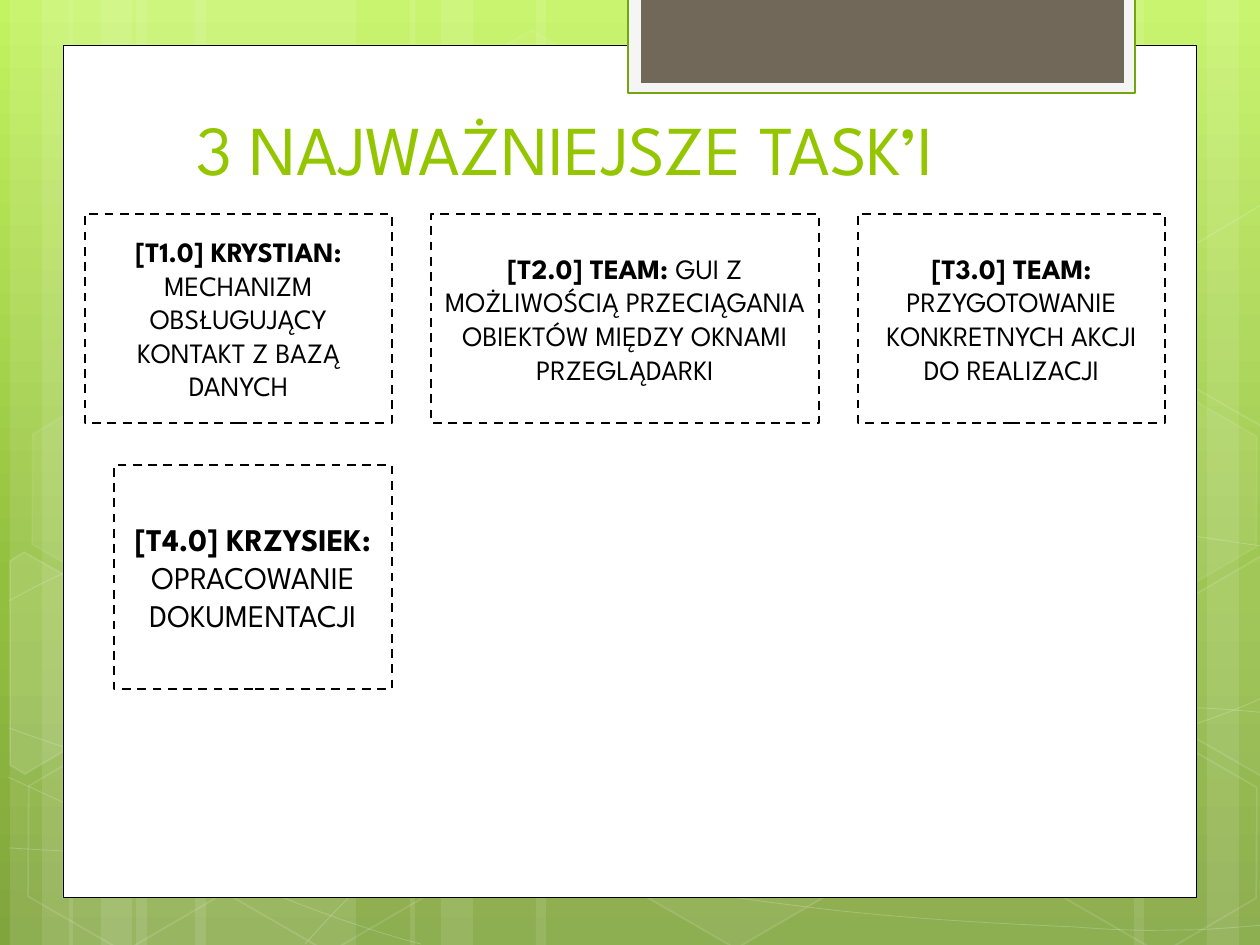
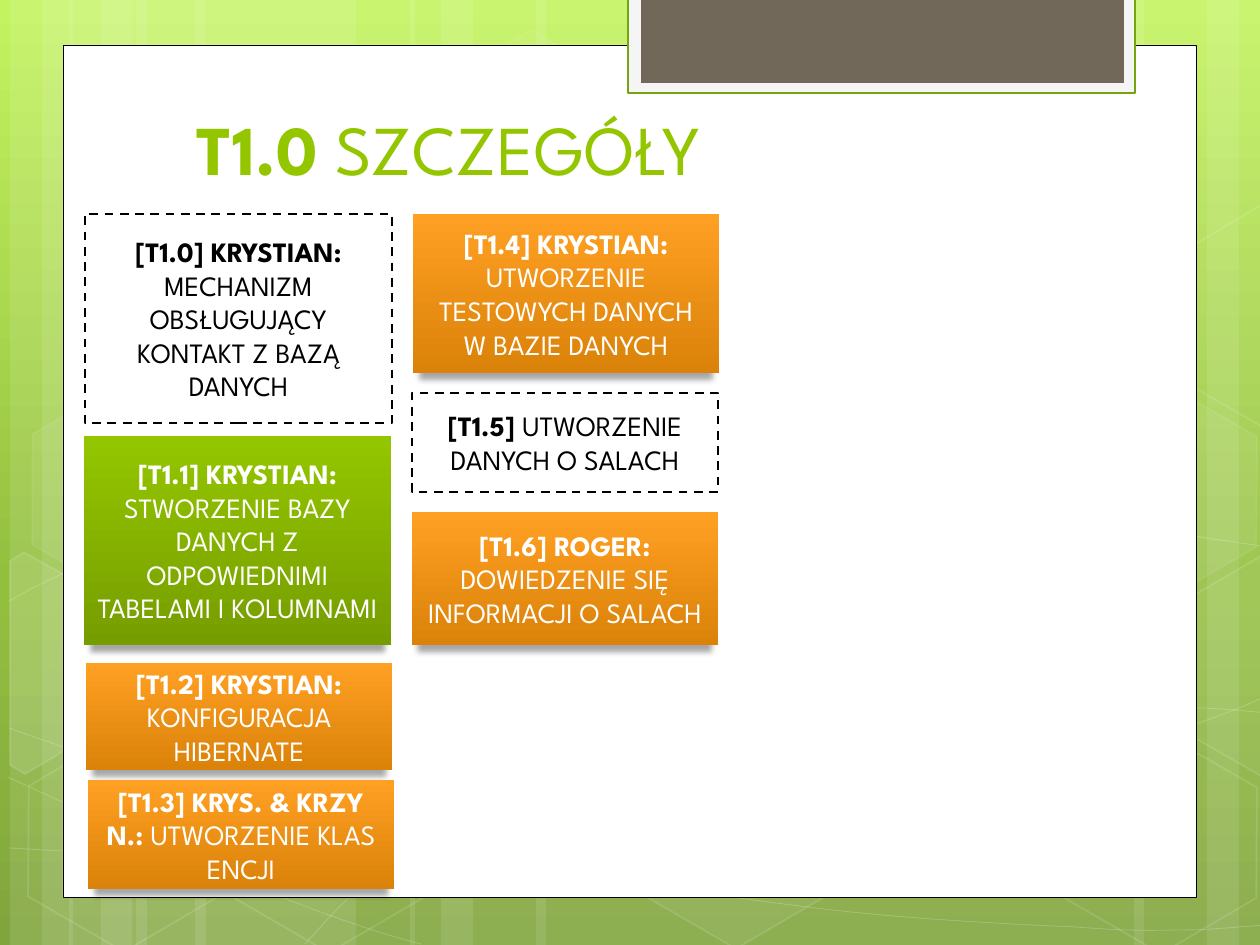
from dataclasses import dataclass
from typing import Optional

from lxml import etree
from pptx import Presentation
from pptx.dml.color import RGBColor
from pptx.enum.dml import MSO_LINE
from pptx.enum.shapes import MSO_SHAPE
from pptx.enum.text import MSO_ANCHOR, MSO_AUTO_SIZE, PP_ALIGN
from pptx.oxml.ns import qn
from pptx.util import Emu, Pt

RECTANGLE = MSO_SHAPE.RECTANGLE
HEXAGON = MSO_SHAPE.HEXAGON
DASH = MSO_LINE.DASH
MIDDLE, BOTTOM = MSO_ANCHOR.MIDDLE, MSO_ANCHOR.BOTTOM
LEFT, CENTER = PP_ALIGN.LEFT, PP_ALIGN.CENTER
NO_AUTOFIT = MSO_AUTO_SIZE.NONE

SCALE = 914400 / 126
PAGE_WIDTH, PAGE_HEIGHT = 1260, 945
FONT = "League Spartan"
WHITE, BLACK, LIME = "FFFFFF", "000000", "94C600"
TITLE_AREA = (184, 96, 968, 100)


@dataclass(frozen=True)
class Style:
    stops: tuple
    text_color: str


@dataclass(frozen=True)
class Card:
    left: int
    top: int
    width: int
    height: int
    label: str
    text: str
    style: Style
    size: int = 16


@dataclass(frozen=True)
class Hexagon:
    left: int
    top: int
    fill_alpha: int
    line_alpha: int


@dataclass(frozen=True)
class Slab:
    area: tuple
    fill: str
    line: Optional[str] = None
    weight: float = 0


@dataclass(frozen=True)
class Facet:
    points: tuple
    fill_alpha: int


OPEN = Style((), BLACK)
DONE = Style(((0, LIME), (100, "769D00")), WHITE)
ACTIVE = Style(((0, "FEA022"), (100, "DB820A")), WHITE)

BACKGROUND = ((0, "C3F35F"), (62, "93BF3F"), (100, "81A53E"))
STRIPES = ((136, 220), (10, 63), (42, 105), (195, 220), (69, 63), (101, 105),
           (924, 220), (1207, 63), (1134, 105), (536, 388), (410, 63), (441, 105))
CURVES = (
    ((9, 848), (77, 852), (145, 856), (239, 854), (334, 853), (451, 850), (577, 838),
     (703, 825), (882, 801), (998, 777), (1113, 753), (1231, 716), (1269, 694)),
    ((9, 601), (45, 581), (82, 562), (152, 543), (224, 524), (326, 496), (437, 488),
     (549, 479), (685, 478), (824, 488), (963, 498), (1193, 537), (1269, 547)),
    ((8, 777), (160, 847), (311, 916), (421, 944)),
    ((9, 728), (48, 742), (88, 756), (161, 776), (234, 795), (344, 827), (450, 848),
     (554, 869), (687, 892), (791, 905), (896, 919), (1008, 924), (1075, 927),
     (1140, 932), (1158, 930), (1191, 930), (1223, 929), (1246, 926), (1269, 925)),
    ((305, 944), (328, 919), (350, 893), (381, 871), (411, 848), (454, 823), (489, 805),
     (524, 788), (546, 780), (592, 767), (638, 755), (722, 737), (766, 728),
     (811, 719), (818, 719), (857, 717), (896, 714), (958, 709), (1000, 708),
     (1044, 707), (1116, 708), (1116, 708), (1144, 708), (1173, 708), (1201, 708),
     (1223, 709), (1245, 711), (1256, 712), (1268, 713), (1264, 712), (1268, 713)),
)
HEXAGONS = (
    Hexagon(421, 45, 4, 8),
    Hexagon(626, 742, 6, 12),
    Hexagon(14, 745, 0, 12),
    Hexagon(18, 393, 7, 8),
    Hexagon(219, 746, 0, 12),
    Hexagon(1051, 747, 0, 12),
    Hexagon(1051, 396, 7, 8),
)
FACETS = (
    Facet(((10, 561), (24, 552), (121, 607), (120, 718), (25, 774), (10, 765)), 10),
    Facet(((1167, 611), (1261, 556), (1271, 562), (1271, 772), (1263, 777), (1167, 722)), 4),
    Facet(((1167, 261), (1261, 205), (1273, 212), (1271, 422), (1263, 427), (1167, 372)), 0),
)
SLABS = (
    Slab((63, 45, 1134, 853), WHITE, BLACK, 0.5),
    Slab((628, -3, 507, 96), "F5F5F5", "74A510", 1.25),
    Slab((641, -3, 483, 86), "71685A"),
)

DATABASE_TASK = Card(85, 214, 307, 209, "[T1.0] KRYSTIAN: ",
                     "MECHANIZM OBSŁUGUJĄCY KONTAKT Z BAZĄ DANYCH", OPEN)
MAIN_TASKS = (
    DATABASE_TASK,
    Card(431, 214, 388, 209, "[T2.0] TEAM: ",
         "GUI Z MOŻLIWOŚCIĄ PRZECIĄGANIA OBIEKTÓW MIĘDZY OKNAMI PRZEGLĄDARKI", OPEN),
    Card(858, 214, 307, 209, "[T3.0] TEAM: ",
         "PRZYGOTOWANIE KONKRETNYCH AKCJI DO REALIZACJI", OPEN),
    Card(114, 465, 278, 224, "[T4.0] KRZYSIEK: ", "OPRACOWANIE DOKUMENTACJI", OPEN, 18),
)
DATABASE_STEPS = (
    DATABASE_TASK,
    Card(84, 436, 307, 209, "[T1.1] KRYSTIAN: ",
         "STWORZENIE BAZY DANYCH Z ODPOWIEDNIMI TABELAMI I KOLUMNAMI", DONE),
    Card(86, 663, 306, 107, "[T1.2] KRYSTIAN: ", "KONFIGURACJA HIBERNATE", ACTIVE),
    Card(88, 780, 306, 109, "[T1.3] KRYS. & KRZY N.: ", "UTWORZENIE KLAS ENCJI", ACTIVE),
    Card(413, 214, 306, 159, "[T1.4] KRYSTIAN: ",
         "UTWORZENIE TESTOWYCH DANYCH W BAZIE DANYCH", ACTIVE),
    Card(412, 393, 306, 99, "[T1.5] ", "UTWORZENIE DANYCH O SALACH", OPEN),
    Card(412, 512, 306, 133, "[T1.6] ROGER: ",
         "DOWIEDZENIE SIĘ INFORMACJI O SALACH", ACTIVE),
)


def px(length: int) -> Emu:
    return Emu(round(length * SCALE))


def color(value: str) -> RGBColor:
    return RGBColor.from_string(value)


def set_alpha(parent, alpha: int) -> None:
    if alpha < 100:
        tint = parent.find(qn("a:solidFill")).find(qn("a:srgbClr"))
        etree.SubElement(tint, qn("a:alpha")).set("val", str(alpha * 1000))


def paint_fill(shape, value: str, alpha: int = 100) -> None:
    if alpha == 0:
        shape.fill.background()
        return
    shape.fill.solid()
    shape.fill.fore_color.rgb = color(value)
    set_alpha(shape.element.spPr, alpha)


def paint_line(shape, value: Optional[str], weight: float = 0, alpha: int = 100) -> None:
    if value is None:
        shape.line.fill.background()
        return
    shape.line.color.rgb = color(value)
    shape.line.width = Pt(weight)
    set_alpha(shape.element.spPr.find(qn("a:ln")), alpha)


def paint_gradient(fill, holder, stops: tuple) -> None:
    fill.gradient()
    fill.gradient_angle = 270
    stop_list = next(holder.iter(qn("a:gsLst")))
    for stop in list(stop_list):
        stop_list.remove(stop)
    for position, value in stops:
        stop = etree.SubElement(stop_list, qn("a:gs"))
        stop.set("pos", str(position * 1000))
        etree.SubElement(stop, qn("a:srgbClr")).set("val", value)


def add_box(page, kind, left: int, top: int, width: int, height: int):
    box = page.shapes.add_shape(kind, px(left), px(top), px(width), px(height))
    box.shadow.inherit = False
    return box


def add_outline(page, points: tuple, close: bool):
    corners = [(px(x), px(y)) for x, y in points]
    builder = page.shapes.build_freeform(*corners[0], scale=1.0)
    builder.add_line_segments(corners[1:], close=close)
    outline = builder.convert_to_shape()
    outline.shadow.inherit = False
    return outline


def add_curve(page, controls: tuple):
    curve = add_outline(page, controls, False)
    segments = list(curve.element.iter(qn("a:lnTo")))
    track = segments[0].getparent()
    for first in range(0, len(segments), 3):
        bend = etree.SubElement(track, qn("a:cubicBezTo"))
        for segment in segments[first:first + 3]:
            bend.append(segment[0])
            track.remove(segment)
    return curve


def draw_backdrop(page) -> None:
    for left, width in STRIPES:
        stripe = add_box(page, RECTANGLE, left, 0, width, PAGE_HEIGHT)
        paint_fill(stripe, WHITE, 10)
        paint_line(stripe, None)
    for controls in CURVES:
        curve = add_curve(page, controls)
        paint_fill(curve, WHITE, 0)
        paint_line(curve, WHITE, 0.5, 20)
    for item in HEXAGONS:
        hexagon = add_box(page, HEXAGON, item.left, item.top, 220, 192)
        hexagon.adjustments[0] = 0.285
        hexagon.rotation = 30
        paint_fill(hexagon, WHITE, item.fill_alpha)
        paint_line(hexagon, WHITE, 1, item.line_alpha)
    for item in FACETS:
        facet = add_outline(page, item.points, True)
        paint_fill(facet, WHITE, item.fill_alpha)
        paint_line(facet, WHITE, 1, 12)
    for item in SLABS:
        slab = add_box(page, RECTANGLE, *item.area)
        paint_fill(slab, item.fill)
        paint_line(slab, item.line, item.weight)


def move_to_layout(page, layout) -> None:
    tree = layout.shapes.element
    for footer in list(layout.placeholders)[1:]:
        tree.remove(footer.element)
    drawn = [shape for shape in page.shapes if not shape.is_placeholder]
    for number, shape in enumerate(drawn, 100):
        next(shape.element.iter(qn("p:cNvPr"))).set("id", str(number))
        tree.append(shape.element)


def add_span(para, text: str, size: int, value: str, bold: bool) -> None:
    span = para.add_run()
    span.text = text
    span.font.name = FONT
    span.font.size = Pt(size)
    span.font.bold = bold
    span.font.color.rgb = color(value)


def write_title(page, spans: tuple) -> None:
    title = page.shapes.title
    title.left, title.top, title.width, title.height = map(px, TITLE_AREA)
    frame = title.text_frame
    frame.word_wrap = True
    frame.auto_size = NO_AUTOFIT
    frame.vertical_anchor = BOTTOM
    para = frame.paragraphs[0]
    para.alignment = LEFT
    for text, bold in spans:
        add_span(para, text, 40, LIME, bold)


def add_shadow(box) -> None:
    effects = box.element.spPr.find(qn("a:effectLst"))
    shadow = etree.SubElement(effects, qn("a:outerShdw"))
    for name, value in (("blurRad", Pt(3.5)), ("dist", Pt(4)), ("dir", 5400000),
                        ("sx", 96000), ("rotWithShape", 0)):
        shadow.set(name, str(int(value)))
    tint = etree.SubElement(shadow, qn("a:srgbClr"))
    tint.set("val", BLACK)
    etree.SubElement(tint, qn("a:alpha")).set("val", "34000")


def draw_card(page, card: Card) -> None:
    box = add_box(page, RECTANGLE, card.left, card.top, card.width, card.height)
    if card.style.stops:
        paint_gradient(box.fill, box.element, card.style.stops)
        paint_line(box, None)
        add_shadow(box)
    else:
        paint_fill(box, WHITE)
        paint_line(box, BLACK, 1.25)
        box.line.dash_style = DASH
    frame = box.text_frame
    frame.word_wrap = True
    frame.vertical_anchor = MIDDLE
    para = frame.paragraphs[0]
    para.alignment = CENTER
    add_span(para, card.label, card.size, card.style.text_color, True)
    add_span(para, card.text, card.size, card.style.text_color, False)


def add_page(deck, layout, title: tuple, cards: tuple) -> None:
    page = deck.slides.add_slide(layout)
    if len(deck.slides) == 1:
        draw_backdrop(page)
        move_to_layout(page, layout)
    write_title(page, title)
    for card in cards:
        draw_card(page, card)


def main() -> None:
    deck = Presentation()
    deck.slide_width, deck.slide_height = px(PAGE_WIDTH), px(PAGE_HEIGHT)
    layout = deck.slide_layouts[5]
    paint_gradient(layout.background.fill, layout.element, BACKGROUND)
    add_page(deck, layout, (("3 NAJWAŻNIEJSZE TASK’I", False),), MAIN_TASKS)
    add_page(deck, layout, (("T1.0", True), (" SZCZEGÓŁY", False)), DATABASE_STEPS)
    deck.save("out.pptx")


main()
